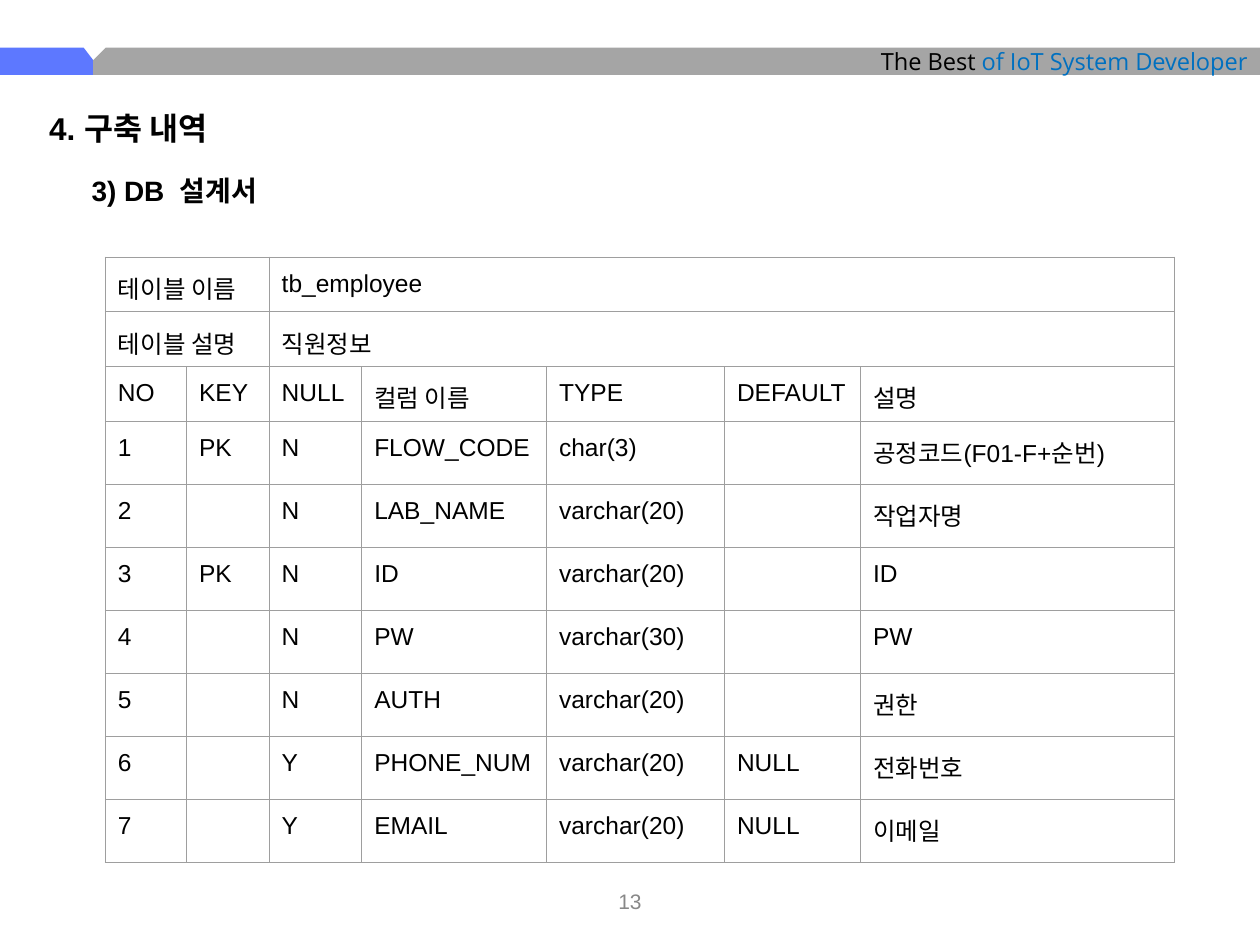
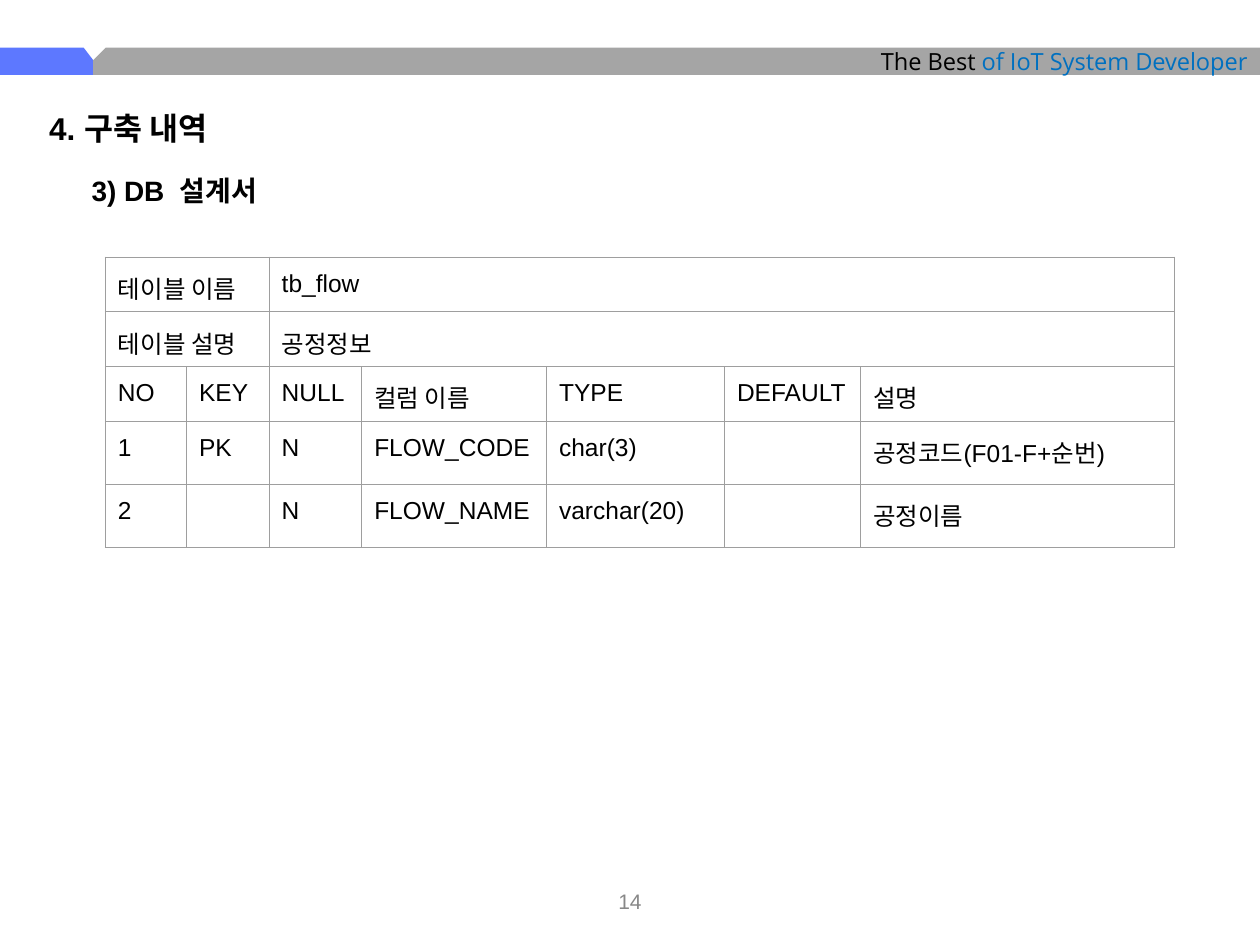
from lxml import etree
from pptx import Presentation
from pptx.dml.color import RGBColor
from pptx.enum.text import MSO_ANCHOR, PP_ALIGN
from pptx.oxml.ns import qn
from pptx.util import Pt

LEFT, CENTER, RIGHT = PP_ALIGN.LEFT, PP_ALIGN.CENTER, PP_ALIGN.RIGHT
TOP, MIDDLE = MSO_ANCHOR.TOP, MSO_ANCHOR.MIDDLE

COLORS = {"black": "000000", "blue": "5D78FF", "gray": "A5A5A5",
          "link": "0070C0", "page": "888888", "border": "9E9E9E"}
FONT, BAND_FONT = "Arial", "Open Sans"

TITLE = "4. 구축 내역"
SUB = "3) DB  설계서"
MOTTO = [("The Best ", "black"), ("of IoT System Developer", "link")]
LABELS = ("테이블 이름", "테이블 설명")
HEAD = ("NO", "KEY", "NULL", "컬럼 이름", "TYPE", "DEFAULT", "설명")
CODE = ("PK", "N", "FLOW_CODE", "char(3)", "", "공정코드(F01-F+순번)")

# Each row: key, null, column name, type, default, description
PAGES = [
    {"page": 13, "name": "tb_employee", "about": "직원정보", "rows": [
        CODE,
        ("", "N", "LAB_NAME", "varchar(20)", "", "작업자명"),
        ("PK", "N", "ID", "varchar(20)", "", "ID"),
        ("", "N", "PW", "varchar(30)", "", "PW"),
        ("", "N", "AUTH", "varchar(20)", "", "권한"),
        ("", "Y", "PHONE_NUM", "varchar(20)", "NULL", "전화번호"),
        ("", "Y", "EMAIL", "varchar(20)", "NULL", "이메일"),
    ]},
    {"page": 14, "name": "tb_flow", "about": "공정정보", "rows": [
        CODE,
        ("", "N", "FLOW_NAME", "varchar(20)", "", "공정이름"),
    ]},
]

WIDE, HIGH = 720, 540
BAND_TOP, NOTCH, BAND_END = 27.2, 34.4, 42.8
SPLIT = 53.3
TABLE_LEFT, TABLE_TOP = 60.2, 147
COLS = (46.4, 47.2, 52.9, 105.6, 101.7, 77.8, 179.3)
HEAD_ROW, BODY_ROW = 31.1, 36
SPAN = 2
PAD = 7.2


def color(name):
    return RGBColor.from_string(COLORS[name])


def write(para, text, size, tint="black", bold=False, font=FONT):
    run = para.add_run()
    run.text = text
    run.font.size = Pt(size)
    run.font.name = font
    run.font.bold = bold
    run.font.color.rgb = color(tint)


def add_band(slide, points, fill):
    spots = [(Pt(x), Pt(y)) for x, y in points]
    build = slide.shapes.build_freeform(*spots[0], scale=1.0)
    build.add_line_segments(spots[1:], close=True)
    band = build.convert_to_shape()
    band.shadow.inherit = False
    band.fill.solid()
    band.fill.fore_color.rgb = color(fill)
    band.line.fill.background()
    return band


def add_text(slide, place, text, size, tint="black", bold=False,
             align=LEFT, anchor=TOP):
    frame = slide.shapes.add_textbox(*map(Pt, place)).text_frame
    frame.word_wrap = True
    frame.vertical_anchor = anchor
    para = frame.paragraphs[0]
    para.alignment = align
    write(para, text, size, tint, bold)


def add_frame(slide, page):
    """Draw the bands, headings and page number that every slide has."""
    add_band(slide, [(0, BAND_TOP), (47.8, BAND_TOP), (SPLIT, NOTCH),
                     (SPLIT, BAND_END), (0, BAND_END)], "blue")
    band = add_band(slide, [(60.5, BAND_TOP), (WIDE, BAND_TOP),
                            (WIDE, BAND_END), (SPLIT, BAND_END),
                            (SPLIT, NOTCH)], "gray")
    frame = band.text_frame
    frame.word_wrap = True
    frame.vertical_anchor = MIDDLE
    para = frame.paragraphs[0]
    para.alignment = RIGHT
    for text, tint in MOTTO:
        write(para, text, 13.5, tint, font=BAND_FONT)
    add_text(slide, (279, 500.5, 162, 28.8), str(page), 12, "page",
             align=CENTER, anchor=MIDDLE)
    add_text(slide, (21, 58.5, 112.5, 29), TITLE, 18, bold=True)
    add_text(slide, (45.2, 95.6, 117.5, 26.7), SUB, 16, bold=True)


def add_edges(cell):
    props = cell._tc.get_or_add_tcPr()
    for spot, side in enumerate(("lnL", "lnR", "lnT", "lnB")):
        line = etree.Element(qn(f"a:{side}"), w=str(Pt(0.75)))
        fill = etree.SubElement(line, qn("a:solidFill"))
        etree.SubElement(fill, qn("a:srgbClr"), val=COLORS["border"])
        props.insert(spot, line)


def fill_cell(cell, text):
    cell.fill.background()
    add_edges(cell)
    if text:
        cell.margin_left = cell.margin_right = Pt(PAD)
        cell.margin_top = cell.margin_bottom = Pt(PAD)
        write(cell.text_frame.paragraphs[0], text, 14)


def add_grid(slide, data):
    rest = len(COLS) - SPAN - 1
    tops = [(label, "", value) + ("",) * rest
            for label, value in zip(LABELS, (data["name"], data["about"]))]
    body = [(str(no), *row) for no, row in enumerate(data["rows"], 1)]
    rows = tops + [HEAD] + body
    highs = [HEAD_ROW] * (len(tops) + 1) + [BODY_ROW] * len(body)
    place = (TABLE_LEFT, TABLE_TOP, sum(COLS), sum(highs))
    table = slide.shapes.add_table(len(rows), len(COLS),
                                   *map(Pt, place)).table
    table.first_row = table.horz_banding = False
    for col, width in zip(table.columns, COLS):
        col.width = Pt(width)
    for r, (texts, high) in enumerate(zip(rows, highs)):
        table.rows[r].height = Pt(high)
        for c, text in enumerate(texts):
            fill_cell(table.cell(r, c), text)
    for r in range(len(tops)):
        table.cell(r, 0).merge(table.cell(r, SPAN - 1))
        table.cell(r, SPAN).merge(table.cell(r, len(COLS) - 1))


def main():
    deck = Presentation()
    deck.slide_width, deck.slide_height = Pt(WIDE), Pt(HIGH)
    for data in PAGES:
        slide = deck.slides.add_slide(deck.slide_layouts[6])
        add_frame(slide, data["page"])
        add_grid(slide, data)
    deck.save("out.pptx")


if __name__ == "__main__":
    main()
